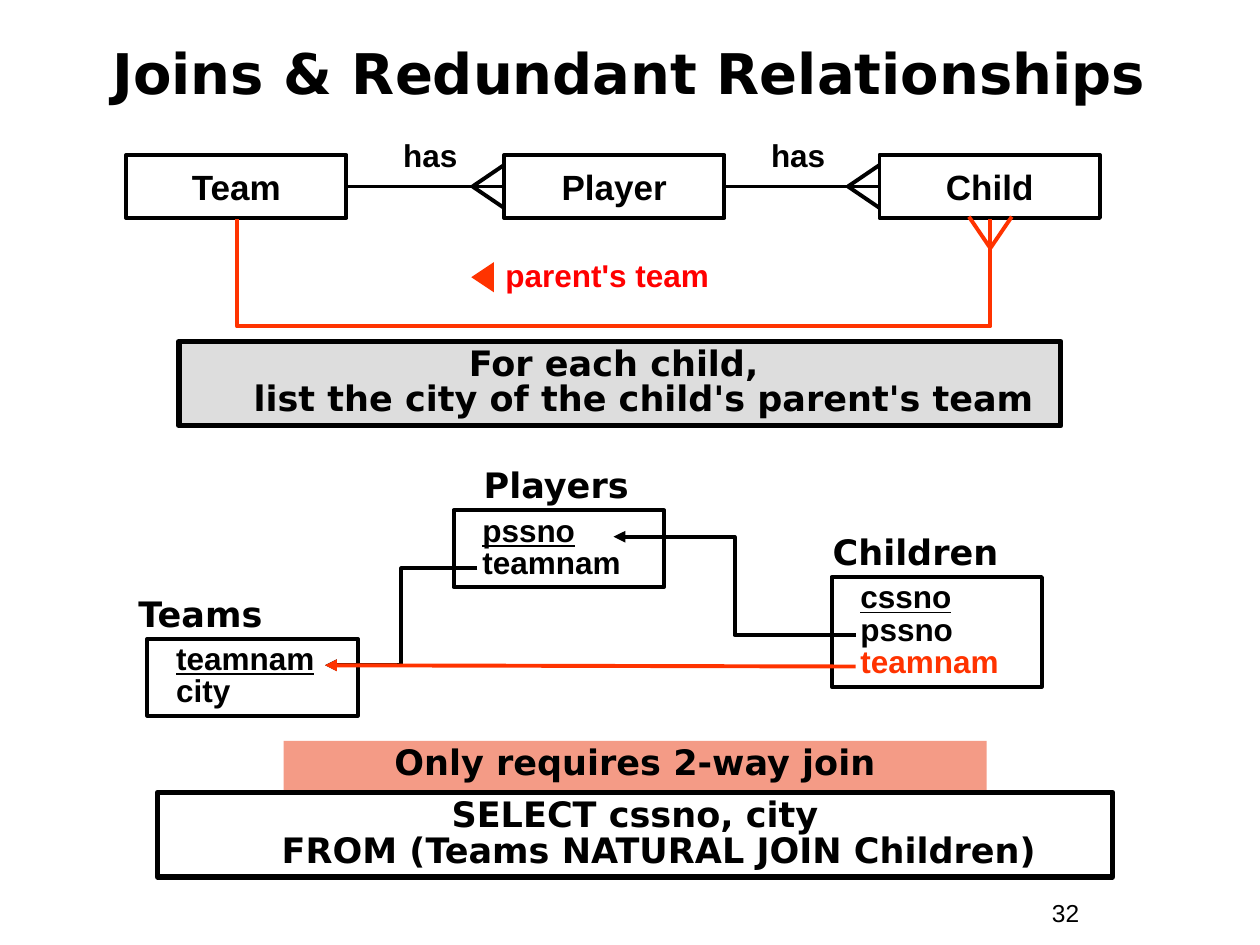
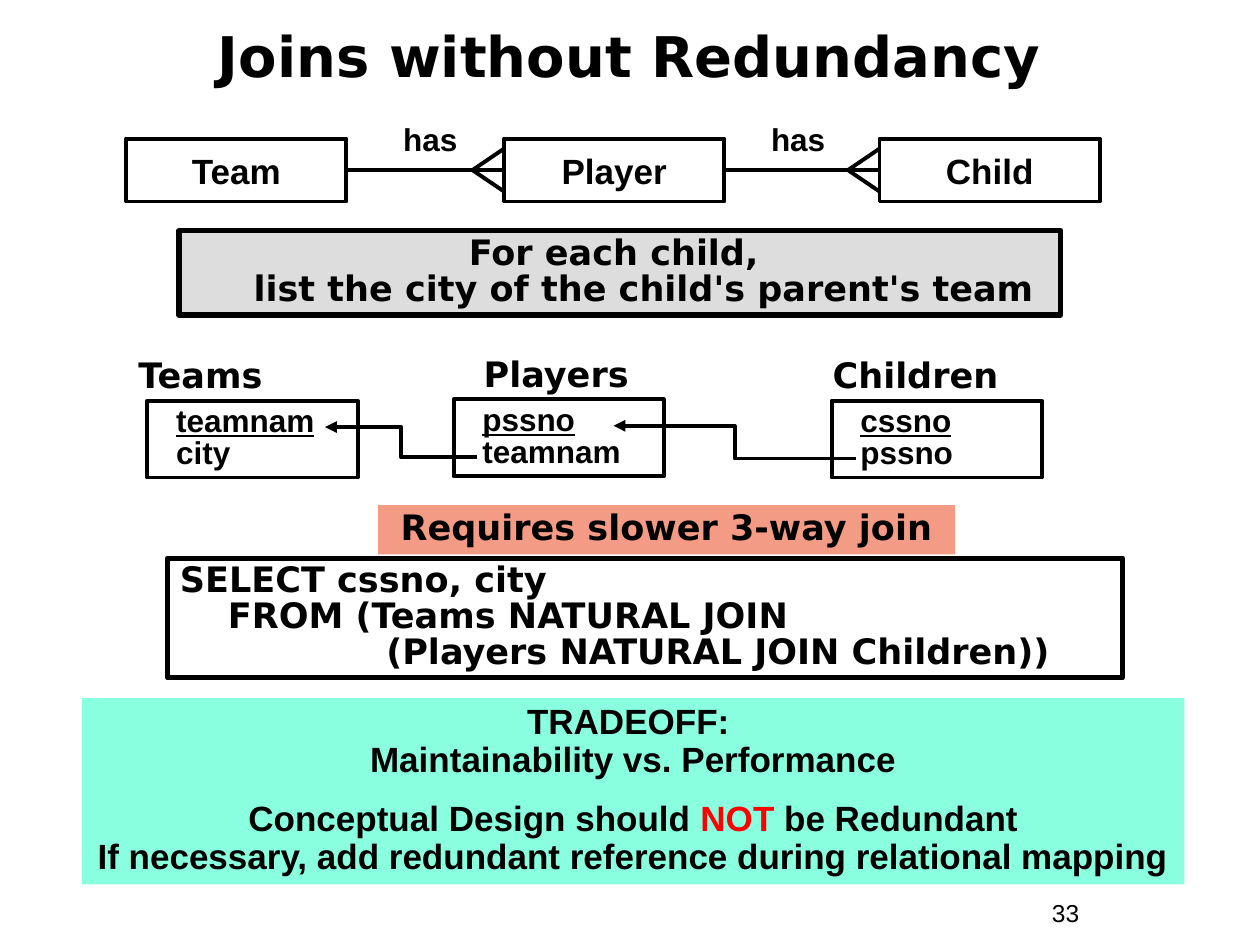
from lxml import etree
from pptx import Presentation
from pptx import util as u
from pptx.dml.color import RGBColor
from pptx.enum import shapes, text
from pptx.oxml.ns import qn

COLORS = {
    "ink": "000000",
    "link": "FF3300",
    "alert": "FF0000",
    "question": "DDDDDD",
    "verdict": "F49B86",
    "tradeoff": "89FFE0",
}
SANS = "Arial"
DISPLAY = "DejaVu Sans"
CENTER = text.PP_ALIGN.CENTER
LEFT = text.PP_ALIGN.LEFT
MIDDLE = text.MSO_ANCHOR.MIDDLE
THIN, THICK = 2.25, 3

ENTITY_W, ENTITY_H = 1.75, 0.5
TABLE_W = 1.67
QUESTION = "For each child, \nlist the city of the child's parent's team"


def rgb(name):
    return RGBColor.from_string(COLORS[name])


def style_paragraph(p, size, font=SANS, color="ink", align=LEFT, bold=True,
                    spacing=None, margin=0, hanging=0):
    pPr = p._p.get_or_add_pPr()
    pPr.set("marL", str(u.Inches(margin)))
    pPr.set("indent", str(-u.Inches(hanging)))
    p.alignment = align
    if spacing:
        p.line_spacing = spacing
    for r in p.runs:
        r.font.size = u.Pt(size)
        r.font.name = font
        r.font.bold = bold
        r.font.color.rgb = rgb(color)


def write(sp, paragraphs, wrap=True, anchor=text.MSO_ANCHOR.TOP, **style):
    """Put one paragraph per string in a shape; a newline is a line break."""
    tf = sp.text_frame
    tf.word_wrap = wrap
    tf.auto_size = text.MSO_AUTO_SIZE.NONE
    tf.vertical_anchor = anchor
    for i, content in enumerate(paragraphs):
        p = tf.add_paragraph() if i else tf.paragraphs[0]
        p.text = content
        style_paragraph(p, **style)
    return tf


def add_label(s, box, content, **style):
    sp = s.shapes.add_textbox(*map(u.Inches, box))
    write(sp, [content], **style)


def add_block(s, box, fill=None, line=None, kind=shapes.MSO_SHAPE.RECTANGLE):
    sp = s.shapes.add_shape(kind, *map(u.Inches, box))
    sp.shadow.inherit = False
    if fill:
        sp.fill.solid()
        sp.fill.fore_color.rgb = rgb(fill)
    else:
        sp.fill.background()
    if line:
        sp.line.color.rgb = rgb("ink")
        sp.line.width = u.Pt(line)
    else:
        sp.line.fill.background()
    return sp


def add_line(s, start, end, color="ink", kind=shapes.MSO_CONNECTOR.STRAIGHT,
             arrow=False):
    cx = s.shapes.add_connector(kind, *map(u.Inches, (*start, *end)))
    cx.line.color.rgb = rgb(color)
    cx.line.width = u.Pt(THIN)
    if arrow:
        ln = cx.line._get_or_add_ln()
        etree.SubElement(ln, qn("a:tailEnd"), type="triangle")
    etree.SubElement(cx._element.spPr, qn("a:effectLst"))
    return cx


def add_slide(prs, title, title_top, number):
    s = prs.slides.add_slide(prs.slide_layouts[5])
    sp = s.shapes.title
    sp.left, sp.top, sp.width, sp.height = map(
        u.Inches, (0.33, title_top, 9.33, 0.58))
    write(sp, [title], anchor=MIDDLE, size=32, font=DISPLAY, align=CENTER)
    add_label(s, (8.25, 7.08, 0.92, 0.34), str(number), size=14, bold=False)
    return s


def add_relationship(s, parent, child, left, right, middle):
    """Join two entities with a one-to-many line ending in a crow's foot."""
    cx = add_line(s, (left, middle), (right, middle))
    cx.begin_connect(parent, 3)
    cx.end_connect(child, 1)
    for rise in (-0.17, 0.17):
        add_line(s, (right - 0.25, middle), (right, middle + rise))


def entity_diagram(s, top):
    lefts = (1, 4, 6.98)
    middle = top + ENTITY_H / 2
    entities = []
    for left, name in zip(lefts, ("Team", "Player", "Child")):
        sp = add_block(s, (left, top, ENTITY_W, ENTITY_H), line=THIN)
        write(sp, [name], wrap=False, anchor=MIDDLE, size=20, align=CENTER)
        entities.append(sp)
    for i, label_left in enumerate((2.58, 5.5)):
        add_relationship(s, entities[i], entities[i + 1],
                         lefts[i] + ENTITY_W, lefts[i + 1], middle)
        add_label(s, (label_left, top - 0.15, 1.67, 0.36), "has",
                  size=18, align=CENTER, spacing=0.85)


def redundant_relationship(s, top):
    """Draw the link running from Team to Child below the entity row."""
    team_x, child_x, bottom = 1.88, 7.86, top + 0.85
    outline = s.shapes.build_freeform(u.Inches(team_x), u.Inches(top))
    outline.add_line_segments(
        [(u.Inches(x), u.Inches(y)) for x, y in
         ((team_x, bottom), (child_x, bottom), (child_x, top))], close=False)
    sp = outline.convert_to_shape()
    sp.shadow.inherit = False
    sp.fill.background()
    sp.line.color.rgb = rgb("link")
    sp.line.width = u.Pt(THIN)
    for reach in (-0.17, 0.17):
        add_line(s, (child_x, top + 0.23), (child_x + reach, top - 0.02), "link")
    add_label(s, (3.89, top + 0.29, 1.86, 0.36), "parent's team",
              size=18, color="alert", align=CENTER, spacing=0.85)
    pointer = add_block(s, (3.71, top + 0.37, 0.24, 0.18), fill="link",
                        kind=shapes.MSO_SHAPE.ISOSCELES_TRIANGLE)
    pointer.rotation = 270


def table_box(s, corner, name, label_shift, fields):
    """Draw a relation with its key, the first field, underlined."""
    left, top = corner
    add_label(s, (left + label_shift, top - 0.42, 2.15, 0.44), name,
              size=20, font=DISPLAY)
    sp = add_block(s, (left, top, TABLE_W, 0.09 + 0.26 * len(fields)), line=THIN)
    tf = write(sp, fields, size=18, spacing=0.85, margin=0.13)
    tf.paragraphs[0].runs[0].font.underline = True
    return tf


def row_middle(corner, row):
    return corner[1] + 0.21 + 0.25 * row


def add_reference(s, source, row, target, tip, color="ink",
                  kind=shapes.MSO_CONNECTOR.ELBOW):
    """Point from a foreign key row to the key of the target table."""
    add_line(s, (source[0] + 0.19, row_middle(source, row)),
             (target[0] + tip, row_middle(target, 0)), color, kind, arrow=True)


def table_diagram(s, teams, players, children, redundant=False):
    table_box(s, teams, "Teams", -0.17, ["teamnam", "city"])
    table_box(s, players, "Players", 0.14, ["pssno", "teamnam"])
    fields = ["cssno", "pssno"] + ["teamnam"] * redundant
    tf = table_box(s, children, "Children", -0.09, fields)
    add_reference(s, players, 1, teams, 1.41)
    add_reference(s, children, 1, players, 1.27)
    if redundant:
        tf.paragraphs[2].runs[0].font.color.rgb = rgb("link")
        add_reference(s, children, 2, teams, 1.41, "link",
                      shapes.MSO_CONNECTOR.STRAIGHT)


def statement(s, box, content, fill=None, line=None, align=CENTER):
    sp = add_block(s, box, fill, line)
    write(sp, [content], size=20, font=DISPLAY, align=align, spacing=0.85,
          margin=0.38, hanging=0.38)


def question(s, top):
    statement(s, (1.42, top, 7, 0.67), QUESTION, "question", THICK)


def tradeoff(s, box):
    style = {"size": 20, "align": CENTER, "spacing": 0.9}
    sp = add_block(s, box, "tradeoff")
    tf = write(sp, ["TRADEOFF: \nMaintainability vs. Performance",
                    "Conceptual Design should "], **style)
    p = tf.paragraphs[1]
    p.space_before = u.Pt(12.5)
    for part in ("NOT", " be Redundant"):
        p.add_run().text = part
    p.add_line_break()
    p.add_run().text = "If necessary, add redundant reference during relational mapping"
    style_paragraph(p, **style)
    p.runs[1].font.color.rgb = rgb("alert")


def redundant_slide(prs):
    s = add_slide(prs, "Joins & Redundant Relationships", 0.28, 32)
    entity_diagram(s, 1.23)
    redundant_relationship(s, 1.74)
    question(s, 2.71)
    table_diagram(s, (1.17, 5.07), (3.6, 4.05), (6.6, 4.58), redundant=True)
    statement(s, (1.25, 6.29, 7.58, 0.67),
              "SELECT cssno, city\nFROM (Teams NATURAL JOIN Children)",
              line=THICK)
    statement(s, (2.25, 5.88, 5.58, 0.39), "Only requires 2-way join", "verdict")


def normalized_slide(prs):
    s = add_slide(prs, "Joins without Redundancy", 0.15, 33)
    entity_diagram(s, 1.1)
    question(s, 1.83)
    table_diagram(s, (1.17, 3.18), (3.6, 3.17), (6.6, 3.18))
    statement(s, (1.33, 4.43, 7.58, 0.95),
              "SELECT cssno, city\nFROM (Teams NATURAL JOIN\n"
              "             (Players NATURAL JOIN Children))",
              line=THICK, align=LEFT)
    statement(s, (3, 4.01, 4.58, 0.39), "Requires slower 3-way join", "verdict")
    tradeoff(s, (0.65, 5.54, 8.75, 1.48))


def main():
    prs = Presentation()
    prs.slide_width, prs.slide_height = u.Inches(10), u.Inches(7.5)
    redundant_slide(prs)
    normalized_slide(prs)
    prs.save("out.pptx")


if __name__ == "__main__":
    main()
